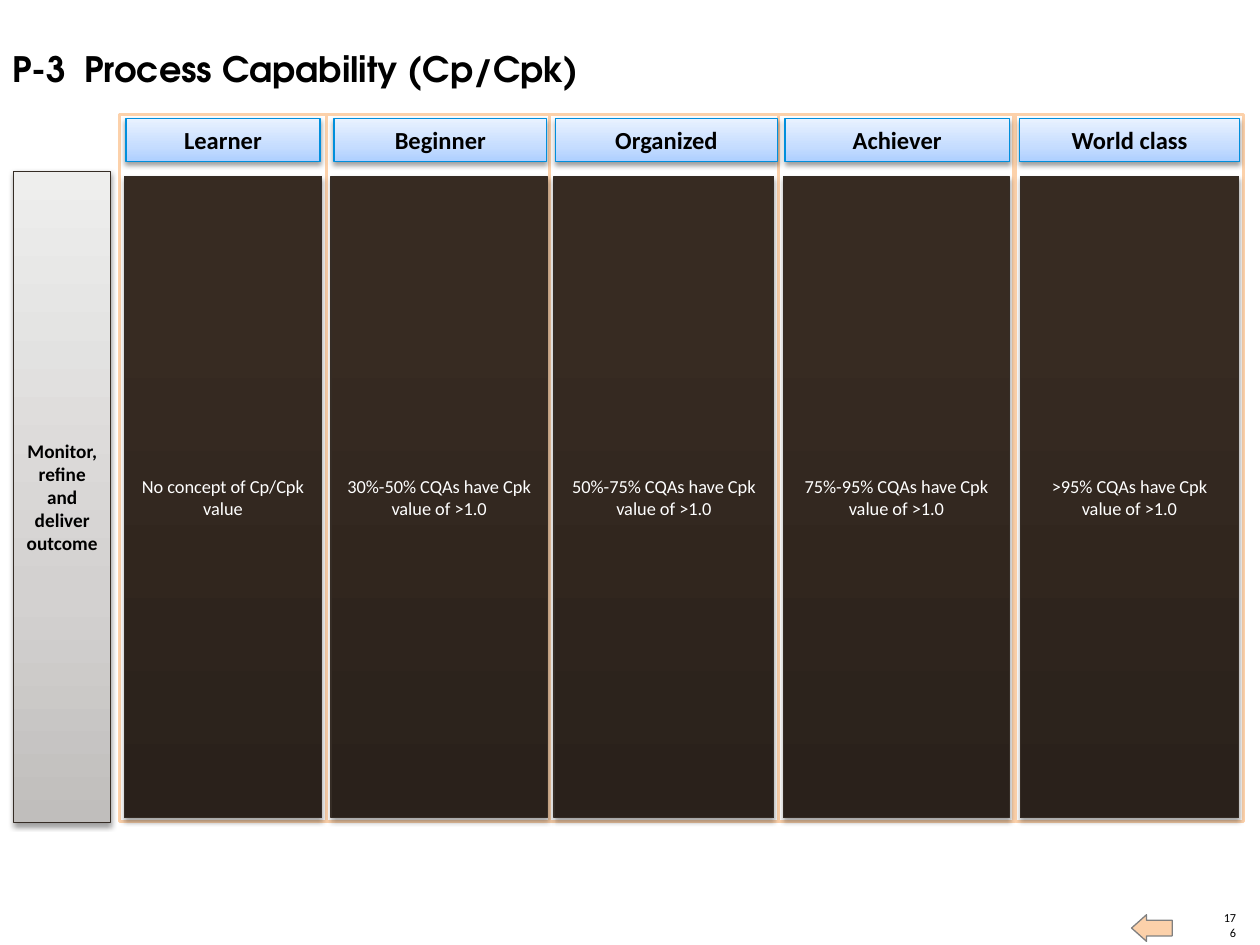
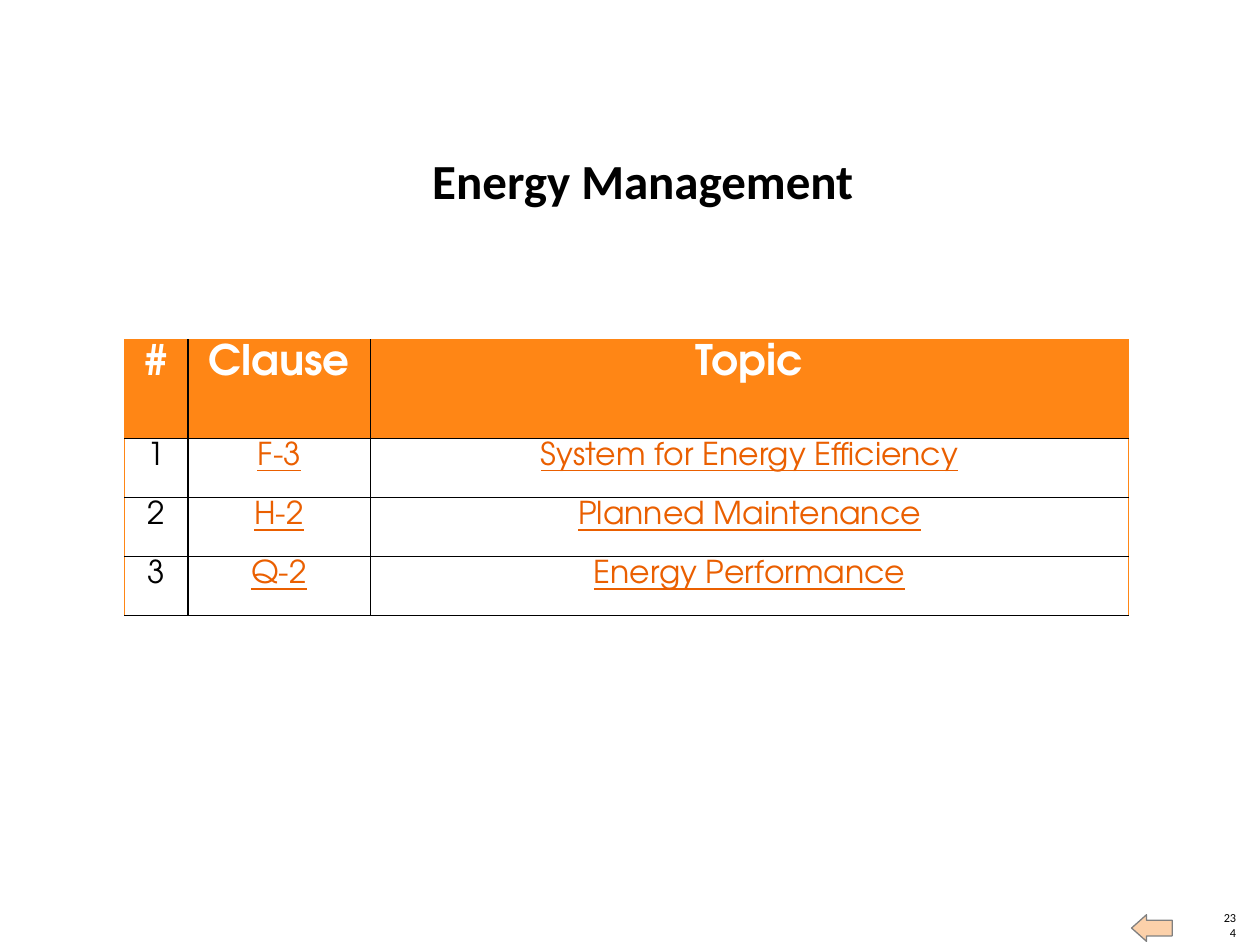
from lxml import etree
from pptx import Presentation
from pptx import util as u
from pptx.dml.color import RGBColor
from pptx.enum import shapes, text
from pptx.oxml.ns import qn

COLOURS = {
    "black": "000000", "white": "FFFFFF", "peach": "FCD1AA", "grey": "808080",
    "orange": "FF8615", "link": "EA5F00", "blue": "008FDC", "brown": "352C25",
}
GRADIENTS = {
    "level": [(0, "AECFFF"), (35, "C6DDFF"), (100, "E9F2FF")],
    "criterion": [(0, "2A211B"), (80, "372B22"), (100, "372B22")],
    "stage": [(0, "C0BEBC"), (35, "D3D1D0"), (100, "EEEEED")],
}
BODY_FONT = "Calibri"
DISPLAY_FONT = "TeX Gyre Adventor"


def add_run(paragraph, words, size, font, colour="black", bold=False, underline=False):
    run = paragraph.add_run()
    run.text = words
    run.font.size = u.Pt(size)
    run.font.name = font
    run.font.bold = bold
    run.font.underline = underline
    run.font.color.rgb = RGBColor.from_string(COLOURS[colour])


def add_panel(slide, box, gradient, line, words, size, colour="black", bold=True, shade=38, drop=1.6):
    shape = slide.shapes.add_shape(shapes.MSO_SHAPE.RECTANGLE, *map(u.Pt, box))
    shape.fill.gradient()
    shape.fill.gradient_angle = 90
    stops = shape._element.spPr.find(qn("a:gradFill")).find(qn("a:gsLst"))
    for stop in list(stops):
        stops.remove(stop)
    for position, tint in GRADIENTS[gradient]:
        stop = etree.SubElement(stops, qn("a:gs"), pos=str(position * 1000))
        etree.SubElement(stop, qn("a:srgbClr"), val=tint)
    shape.line.color.rgb = RGBColor.from_string(COLOURS[line])
    shape.line.width = u.Pt(0.75)
    shape.shadow.inherit = False
    effects = shape._element.spPr.find(qn("a:effectLst"))
    shadow = etree.SubElement(effects, qn("a:outerShdw"), blurRad=str(u.Pt(3.1)),
                              dist=str(u.Pt(drop)), dir="5400000", rotWithShape="0")
    shadow_colour = etree.SubElement(shadow, qn("a:srgbClr"), val=COLOURS["black"])
    etree.SubElement(shadow_colour, qn("a:alpha"), val=str(shade * 1000))
    frame = shape.text_frame
    frame.word_wrap = True
    frame.vertical_anchor = text.MSO_ANCHOR.MIDDLE
    paragraph = frame.paragraphs[0]
    paragraph.alignment = text.PP_ALIGN.CENTER
    add_run(paragraph, words, size, BODY_FONT, colour, bold)


presentation = Presentation()
presentation.slide_width = u.Pt(720)
presentation.slide_height = u.Pt(540)

slides = []
for page_number in ("176", "234"):
    slide = presentation.slides.add_slide(presentation.slide_layouts[6])
    slides.append(slide)
    footer = slide.shapes.add_textbox(u.Pt(697.7), u.Pt(528.5), u.Pt(8.64), u.Pt(8.64))
    frame = footer.text_frame
    frame.word_wrap = True
    frame.vertical_anchor = text.MSO_ANCHOR.BOTTOM
    frame.margin_left = frame.margin_right = frame.margin_top = frame.margin_bottom = 0
    frame.paragraphs[0].alignment = text.PP_ALIGN.RIGHT
    add_run(frame.paragraphs[0], page_number, 7, BODY_FONT)
    back_arrow = slide.shapes.add_shape(shapes.MSO_SHAPE.RIGHT_ARROW,
                                        u.Pt(646.6), u.Pt(522.7), u.Pt(23.2), u.Pt(15.2))
    back_arrow.rotation = 180
    back_arrow.adjustments[0] = 0.59
    back_arrow.adjustments[1] = 0.56
    back_arrow.fill.solid()
    back_arrow.fill.fore_color.rgb = RGBColor.from_string(COLOURS["peach"])
    back_arrow.line.color.rgb = RGBColor.from_string(COLOURS["grey"])
    back_arrow.line.width = u.Pt(0.75)
    back_arrow.shadow.inherit = False

capability_slide, energy_slide = slides

title = capability_slide.shapes.add_textbox(0, u.Pt(23.8), u.Pt(619), u.Pt(31.7))
title.text_frame.word_wrap = True
paragraph = title.text_frame.paragraphs[0]
tab_stops = etree.SubElement(paragraph._p.get_or_add_pPr(), qn("a:tabLst"))
etree.SubElement(tab_stops, qn("a:tab"), pos=str(u.Pt(41)), algn="l")
add_run(paragraph, "P-3\tProcess Capability (Cp/Cpk)", 20, DISPLAY_FONT, bold=True)

levels = [
    ("Learner", "No concept of Cp/Cpk value", 68.4, 118.1, 72, 110.9),
    ("Beginner", "30%-50% CQAs have Cpk value of >1.0", 186.5, 128.9, 190.8, 121.7),
    ("Organized", "50%-75% CQAs have Cpk value of >1.0", 313.9, 131, 317.5, 126.7),
    ("Achiever", "75%-95% CQAs have Cpk value of >1.0", 445, 134.6, 448.6, 128.2),
    ("World class", ">95% CQAs have Cpk value of >1.0", 580.3, 130.3, 582.5, 126),
]
inset = 2.7
for name, criterion, left, width, header_left, header_width in levels:
    column = capability_slide.shapes.add_shape(shapes.MSO_SHAPE.RECTANGLE,
                                               u.Pt(left), u.Pt(65.5), u.Pt(width), u.Pt(403.9))
    column.fill.solid()
    column.fill.fore_color.rgb = RGBColor.from_string(COLOURS["white"])
    column.line.color.rgb = RGBColor.from_string(COLOURS["peach"])
    column.line.width = u.Pt(2)
    column.shadow.inherit = False
for name, criterion, left, width, header_left, header_width in levels:
    add_panel(capability_slide, (header_left, 67.7, header_width, 24.5), "level", "blue", name, 14)
    add_panel(capability_slide, (left + inset, 100.8, width - 2 * inset, 366.5), "criterion", "brown",
              criterion, 10.5, "white", False, 35, 1.8)
add_panel(capability_slide, (7.9, 97.9, 55.4, 372.2), "stage", "brown",
          "Monitor, refine and deliver outcome", 11)

clauses = [
    ("#", "Clause", "Topic"),
    ("1", "F-3", "System for Energy Efficiency"),
    ("2", "H-2", "Planned Maintenance"),
    ("3", "Q-2", "Energy Performance"),
]
column_widths = (36, 104.4, 433.4)
row_heights = (56.4, 33.8, 33.8, 33.8)
table = energy_slide.shapes.add_table(len(clauses), len(column_widths), u.Pt(71.3), u.Pt(194.1),
                                      u.Pt(sum(column_widths)), u.Pt(sum(row_heights))).table
table.horz_banding = False
for column, width in zip(table.columns, column_widths):
    column.width = u.Pt(width)
for row_index, (row, height) in enumerate(zip(table.rows, row_heights)):
    row.height = u.Pt(height)
    is_header = row_index == 0
    for column_index, cell in enumerate(row.cells):
        cell.margin_left = cell.margin_right = u.Pt(5 if is_header else 4.3)
        cell.margin_top = cell.margin_bottom = u.Pt(2.9 if is_header else 2.2)
        outer_edges = {"lnL": column_index == 0, "lnR": column_index == 2, "lnT": is_header, "lnB": False}
        for edge, is_outer in outer_edges.items():
            border = etree.SubElement(cell._tc.get_or_add_tcPr(), qn("a:" + edge),
                                      w=str(u.Pt(0.75 if is_outer else 1)))
            border_fill = etree.SubElement(border, qn("a:solidFill"))
            etree.SubElement(border_fill, qn("a:srgbClr"), val=COLOURS["orange" if is_outer else "black"])
        if is_header:
            cell.fill.solid()
            cell.fill.fore_color.rgb = RGBColor.from_string(COLOURS["orange"])
        else:
            cell.fill.background()
        is_link = not is_header and column_index > 0
        colour = "white" if is_header else "link" if is_link else "black"
        paragraph = cell.text_frame.paragraphs[0]
        paragraph.alignment = text.PP_ALIGN.CENTER
        add_run(paragraph, clauses[row_index][column_index], 24 if is_header else 18,
                DISPLAY_FONT, colour, is_header, is_link)

heading = energy_slide.shapes.add_textbox(u.Pt(218.2), u.Pt(85.7), u.Pt(298), u.Pt(33.8))
frame = heading.text_frame
frame.word_wrap = True
frame.vertical_anchor = text.MSO_ANCHOR.BOTTOM
frame.margin_left = frame.margin_right = frame.margin_top = frame.margin_bottom = 0
frame.paragraphs[0].alignment = text.PP_ALIGN.CENTER
add_run(frame.paragraphs[0], "Energy Management", 28, BODY_FONT, bold=True)

presentation.save("out.pptx")
